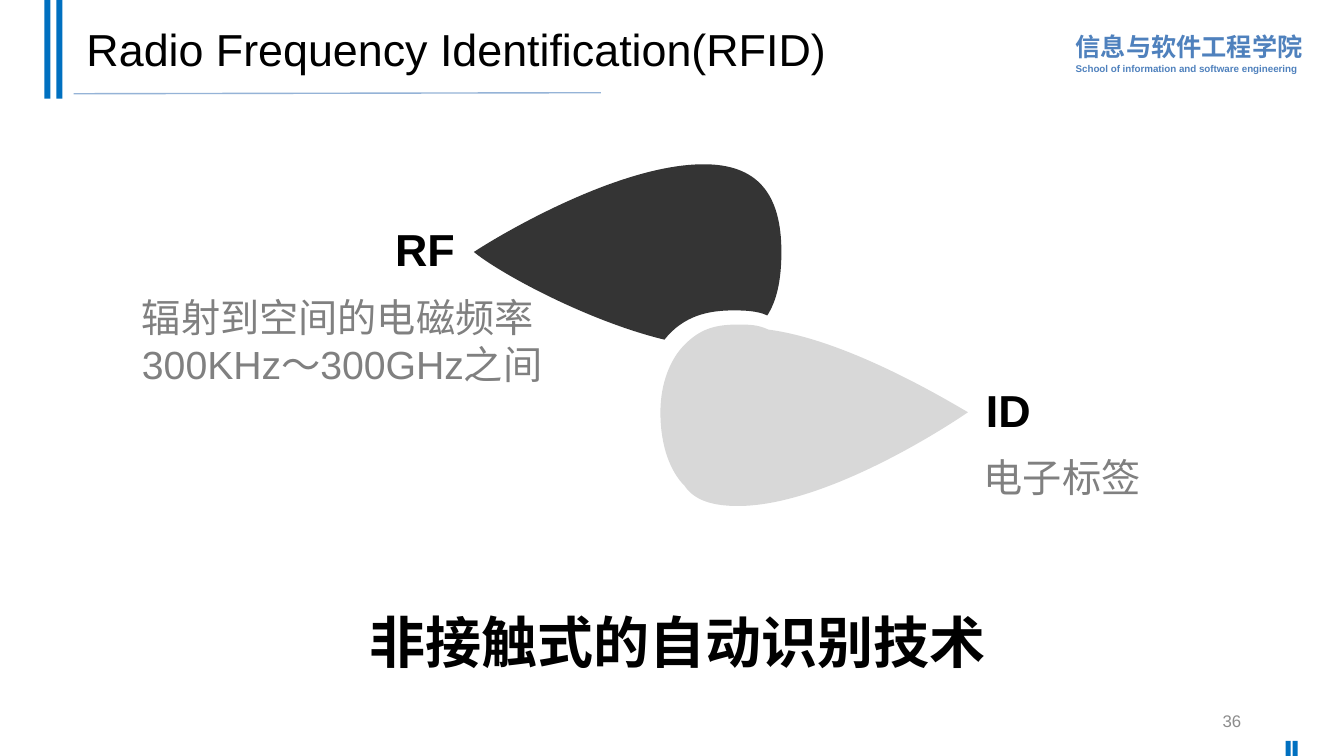
from lxml.etree import SubElement
from pptx import Presentation
from pptx.dml.color import RGBColor
from pptx.enum.shapes import MSO_CONNECTOR, MSO_SHAPE
from pptx.enum.text import MSO_ANCHOR, MSO_AUTO_SIZE, PP_ALIGN
from pptx.oxml.ns import qn
from pptx.util import Inches, Pt

# Content: lines of (text, size), box (left, top, width, height), colour, options
BLACK, GRAY, BLUE = "000000", "808080", "0070C0"
TEXTS = [
    ([("信息与软件工程学院", 18), ("School of information and software engineering", 7)],
     (10.57, 0.23, 2.45, 0.56), "4F81BD", dict(bold=True, spacing=1.1, grow=True)),
    ([("Radio Frequency Identification(RFID)", 32)],
     (0.76, 0.08, 11.5, 0.88), BLACK, dict(anchor=MSO_ANCHOR.MIDDLE, spacing=0.9)),
    ([("36", 12)], (9.41, 6.95, 3, 0.4), "8C8C8C",
     dict(anchor=MSO_ANCHOR.MIDDLE, align=PP_ALIGN.RIGHT)),
    ([("RF", 32)], (3.73, 2.09, 0.97, 0.81), BLACK,
     dict(bold=True, anchor=MSO_ANCHOR.MIDDLE, align=PP_ALIGN.CENTER, spacing=0.9)),
    ([("ID", 32)], (9.68, 3.66, 1.1, 0.88), BLACK,
     dict(bold=True, anchor=MSO_ANCHOR.MIDDLE, spacing=0.9)),
    ([("辐射到空间的电磁频率", 28), ("300KHz～300GHz之间", 28)],
     (1.31, 2.86, 4.34, 1.04), GRAY, dict(grow=True)),
    ([("非接触式的自动识别技术", 40)], (3.57, 5.98, 6.37, 0.77), BLACK,
     dict(bold=True, wrap=False, grow=True)),
    ([("电子标签", 28)], (9.66, 4.45, 1.77, 0.57), GRAY, dict(wrap=False, grow=True)),
]

# Pairs of bars: first left, step, top, width, height
BAR_PAIRS = [(0.44, 0.12, 0, 0.06, 0.98), (12.75, 0.07, 7.35, 0.05, 0.15)]
TITLE_RULE = (0.73, 0.93, 5.96, 0.92)

# Petals: colour, start point, Bezier curves (two controls and an end)
PETALS = [
    ("343434", (7.27, 3.08), [
        ((7.36, 3.08), (7.51, 3.08), (7.61, 3.13)),
        ((7.7, 2.99), (7.75, 2.79), (7.75, 2.5)),
        ((7.75, 1.92), (7.51, 1.63), (6.98, 1.63)),
        ((6.15, 1.63), (4.99, 2.31), (4.7, 2.5)),
        ((4.94, 2.7), (5.81, 3.18), (6.59, 3.37)),
        ((6.78, 3.13), (7.03, 3.08), (7.27, 3.08))]),
    ("D8D8D8", (7.62, 3.27), [
        ((7.52, 3.22), (7.42, 3.22), (7.32, 3.22)),
        ((7.08, 3.22), (6.94, 3.27), (6.79, 3.42)),
        ((6.65, 3.56), (6.55, 3.8), (6.55, 4.09)),
        ((6.55, 4.43), (6.65, 4.68), (6.79, 4.82)),
        ((6.89, 4.97), (7.08, 5.02), (7.32, 5.02)),
        ((7.32, 5.02), (7.32, 5.02), (7.32, 5.02)),
        ((8.15, 5.02), (9.31, 4.29), (9.6, 4.09)),
        ((9.36, 3.95), (8.39, 3.37), (7.62, 3.27))]),
]


def color(hex_value):
    return RGBColor.from_string(hex_value)


def paint(shape, hex_value):
    shape.fill.solid()
    shape.fill.fore_color.rgb = color(hex_value)
    shape.line.fill.background()
    shape.shadow.inherit = False


def add_petal(shapes, fill, start, curves):
    points = [tuple(map(Inches, point)) for curve in curves for point in curve]
    builder = shapes.build_freeform(*map(Inches, start), scale=1.0)
    builder.add_line_segments(points, close=True)
    petal = builder.convert_to_shape()
    paint(petal, fill)

    # Turn every three line segments into one cubic curve
    segments = list(petal.element.iter(qn("a:lnTo")))
    for first in range(0, len(segments), 3):
        curve = segments[first]
        curve.tag = qn("a:cubicBezTo")
        for segment in segments[first + 1:first + 3]:
            curve.append(segment[0])
            segment.getparent().remove(segment)


def add_text(shapes, lines, box, ink, bold=False, wrap=True, grow=False,
             spacing=1.0, anchor=MSO_ANCHOR.TOP, align=PP_ALIGN.LEFT):
    frame = shapes.add_textbox(*map(Inches, box)).text_frame
    frame.word_wrap = wrap
    frame.auto_size = MSO_AUTO_SIZE.SHAPE_TO_FIT_TEXT if grow else MSO_AUTO_SIZE.NONE
    frame.vertical_anchor = anchor
    for index, (words, size) in enumerate(lines):
        paragraph = frame.add_paragraph() if index else frame.paragraphs[0]
        paragraph.text = words
        paragraph.alignment = align
        paragraph.line_spacing = spacing
        font = paragraph.font
        font.name, font.size, font.bold = "Arial", Pt(size), bold
        font.color.rgb = color(ink)


def main():
    deck = Presentation()
    deck.slide_width, deck.slide_height = Inches(13.33), Inches(7.5)
    shapes = deck.slides.add_slide(deck.slide_layouts[6]).shapes

    # Corner bars and the rule under the title
    for left, step, top, width, height in BAR_PAIRS:
        for index in range(2):
            box = (left + index * step, top, width, height)
            paint(shapes.add_shape(MSO_SHAPE.RECTANGLE, *map(Inches, box)), BLUE)
    rule = shapes.add_connector(MSO_CONNECTOR.STRAIGHT, *map(Inches, TITLE_RULE))
    rule.line.color.rgb = color("95B3D7")
    rule.line.width = Pt(1)
    SubElement(rule.element.spPr, qn("a:effectLst"))

    # Petals, then the text over them
    for petal in PETALS:
        add_petal(shapes, *petal)
    for lines, box, ink, options in TEXTS:
        add_text(shapes, lines, box, ink, **options)

    deck.save("out.pptx")


if __name__ == "__main__":
    main()
